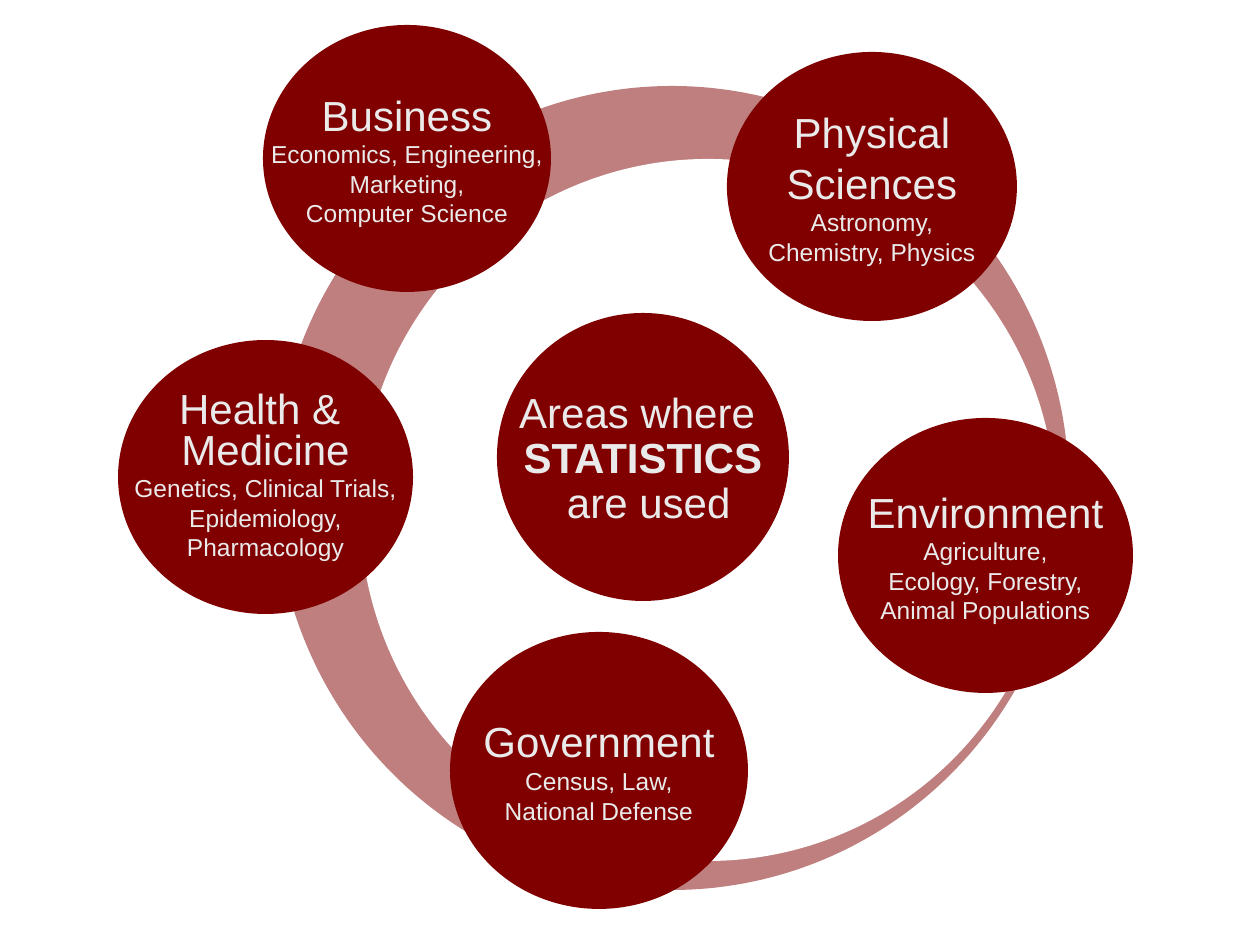
from lxml.etree import SubElement
from pptx import Presentation
from pptx.dml.color import RGBColor
from pptx.enum.shapes import MSO_SHAPE
from pptx.enum.text import MSO_ANCHOR, PP_ALIGN
from pptx.oxml.ns import qn
from pptx.util import Emu, Pt

SCALE = 914400 / 126
MAROON, WHITE, PALE = "800000", "FFFFFF", "EAEAEA"
HEAD, BODY = 24, 14

TOPICS = [
    ((838, 418, 295, 275), ["Environment"], 1,
     ["Agriculture,", "Ecology, Forestry,", "Animal Populations"]),
    ((450, 632, 298, 277), ["Government"], 1,
     ["Census, Law,", "National Defense"]),
    ((727, 52, 290, 269), ["Physical", "Sciences"], 1,
     ["Astronomy,", "Chemistry, Physics"]),
    ((118, 340, 295, 274), ["Health & ", "Medicine"], 0.8,
     ["Genetics, Clinical Trials,", "Epidemiology,", "Pharmacology"]),
    ((263, 25, 288, 267), ["Business"], 1,
     ["Economics, Engineering,", "Marketing,", "Computer Science"]),
]


def px(count):
    """Turn pixels into EMU."""
    return Emu(round(count * SCALE))


def color(code):
    """Turn a hex string into a color."""
    return RGBColor.from_string(code)


def disc(slide, box, fill, alpha=None):
    """Draw a plain ellipse, with an optional opacity in percent."""
    shape = slide.shapes.add_shape(MSO_SHAPE.OVAL, *map(px, box))
    shape.shadow.inherit = False
    shape.line.fill.background()
    shape.fill.solid()
    shape.fill.fore_color.rgb = color(fill)
    if alpha is not None:
        tint = shape.fill._xPr.find(".//" + qn("a:srgbClr"))
        SubElement(tint, qn("a:alpha")).set("val", str(alpha * 1000))
    return shape


def bubble(slide, box, lines):
    """Draw a disc with centred lines of (text, size, spacing, bold)."""
    frame = disc(slide, box, MAROON).text_frame
    frame.word_wrap = False
    frame.vertical_anchor = MSO_ANCHOR.MIDDLE
    for place, (text, size, gap, bold) in enumerate(lines):
        para = frame.add_paragraph() if place else frame.paragraphs[0]
        para.alignment = PP_ALIGN.CENTER
        para.line_spacing = float(gap)
        run = para.add_run()
        run.text = text
        run.font.name = "Arial"
        run.font.size = Pt(size)
        run.font.bold = bold
        run.font.color.rgb = color(PALE)


def topic(slide, box, heads, gap, items):
    """Draw a field of use with its heading and examples."""
    lines = [(text, HEAD, gap, False) for text in heads]
    lines += [(text, BODY, 1, False) for text in items]
    bubble(slide, box, lines)


def main():
    """Build the slide and save it."""
    deck = Presentation()
    deck.slide_width, deck.slide_height = px(1260), px(945)
    slide = deck.slides.add_slide(deck.slide_layouts[6])
    disc(slide, (275, 86, 794, 804), MAROON, 50)
    disc(slide, (360, 159, 696, 702), WHITE)
    for entry in TOPICS:
        topic(slide, *entry)
    bubble(slide, (497, 313, 292, 288), [
        ("Areas where ", HEAD, 1, False),
        ("STATISTICS", HEAD, 0.9, True),
        (" are used", HEAD, 0.9, False),
    ])
    deck.save("out.pptx")


if __name__ == "__main__":
    main()
